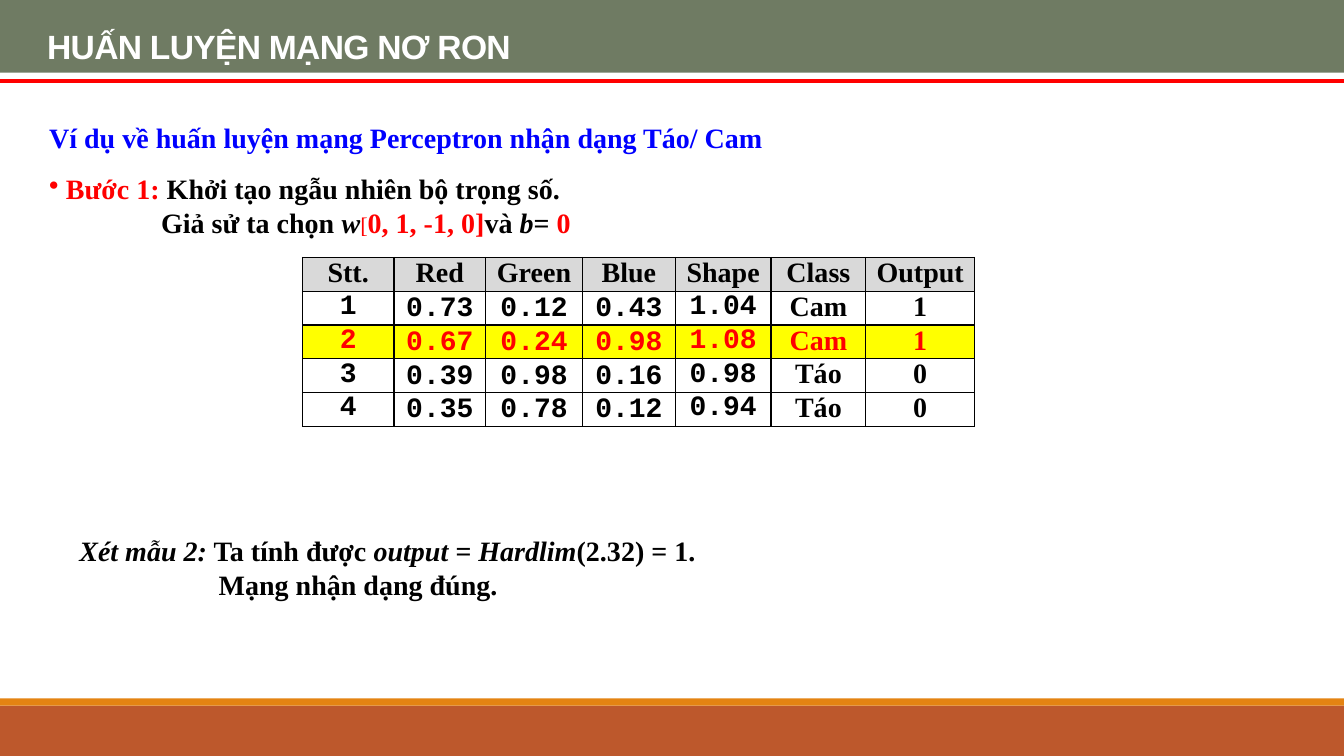
from pptx import Presentation
from pptx import util as u
from pptx.dml.color import RGBColor
from pptx.enum import shapes, text
from pptx.oxml import parse_xml
from pptx.oxml.ns import nsdecls, qn

BLACK = RGBColor(0, 0, 0)
WHITE = RGBColor(255, 255, 255)
RED = RGBColor(255, 0, 0)
BLUE = RGBColor(0, 0, 255)
GRAY = RGBColor(0xD9, 0xD9, 0xD9)
GOLD = RGBColor(255, 255, 0)
GREEN = RGBColor(0x6F, 0x7B, 0x63)
RUST = RGBColor(0xBD, 0x58, 0x2C)
AMBER = RGBColor(0xE4, 0x83, 0x12)

WIDE, HIGH = 33.87, 19.05
BODY = {"name": "Times New Roman", "size": u.Pt(20), "bold": True, "italic": False}
CODE = {"name": "Courier New"}
ITAL = {"italic": True}
THIN = {"size": u.Pt(16), "bold": False}

HEAD = ["Stt.", "Red", "Green", "Blue", "Shape", "Class", "Output"]
ROWS = [
    ["1", "0.73", "0.12", "0.43", "1.04", "Cam", "1"],
    ["2", "0.67", "0.24", "0.98", "1.08", "Cam", "1"],
    ["3", "0.39", "0.98", "0.16", "0.98", "Táo", "0"],
    ["4", "0.35", "0.78", "0.12", "0.94", "Táo", "0"],
]
COLS = [2.31, 2.31, 2.44, 2.34, 2.41, 2.39, 2.74]


def add_run(para, words, color=BLACK, form=None):
    run = para.add_run()
    run.text = words
    for key, val in {**BODY, **(form or {})}.items():
        setattr(run.font, key, val)
    run.font.color.rgb = color
    return run


def add_title(slide, words):
    title = slide.shapes.title
    box = {"left": 0, "top": 0, "width": u.Cm(WIDE), "height": u.Cm(1.83)}
    for key, val in box.items():
        setattr(title, key, val)
    title.fill.solid()
    title.fill.fore_color.rgb = GREEN
    frame = title.text_frame
    form = {"margin_left": u.Cm(1.19), "auto_size": text.MSO_AUTO_SIZE.NONE,
            "vertical_anchor": text.MSO_ANCHOR.MIDDLE}
    for key, val in form.items():
        setattr(frame, key, val)
    para = frame.paragraphs[0]
    para.alignment = text.PP_ALIGN.LEFT
    para.line_spacing = 1.5
    run = add_run(para, words, WHITE, {"name": "Arial", "size": u.Pt(24)})
    run.font._element.set("spc", "-50")


def add_band(slide, top, high, color):
    band = slide.shapes.add_shape(
        shapes.MSO_SHAPE.RECTANGLE, 0, u.Cm(top), u.Cm(WIDE), u.Cm(high))
    band.shadow.inherit = False
    band.fill.solid()
    band.fill.fore_color.rgb = color
    band.line.fill.background()


def add_rule(slide, top):
    rule = slide.shapes.add_connector(
        shapes.MSO_CONNECTOR.STRAIGHT, 0, u.Cm(top), u.Cm(WIDE), u.Cm(top))
    rule.line.color.rgb = RED
    rule.line.width = u.Pt(3)
    rule._element.spPr.append(parse_xml(f"<a:effectLst {nsdecls('a')}/>"))


def add_text(slide, left, top, wide, high, lines):
    box = slide.shapes.add_textbox(u.Cm(left), u.Cm(top), u.Cm(wide), u.Cm(high))
    frame = box.text_frame
    frame.word_wrap = True
    frame.auto_size = text.MSO_AUTO_SIZE.SHAPE_TO_FIT_TEXT
    for row, (inset, mark, runs) in enumerate(lines):
        para = frame.add_paragraph() if row else frame.paragraphs[0]
        props = para._p.get_or_add_pPr()
        props.set("marL", str(u.Cm(inset)))
        props.set("indent", str(-u.Cm(inset) if mark else 0))
        if mark:
            props.append(parse_xml(f'<a:buChar {nsdecls("a")} char="{mark}"/>'))
        for run in runs:
            add_run(para, *run)


def add_edges(cell):
    props = cell._tc.get_or_add_tcPr()
    for side in "LRTB":
        props.append(parse_xml(
            f'<a:ln{side} {nsdecls("a")} w="{u.Pt(1)}"><a:solidFill>'
            f'<a:srgbClr val="{BLACK}"/></a:solidFill></a:ln{side}>'))


def fill_cell(cell, words, row, col):
    add_edges(cell)
    shade = {0: GRAY, 2: GOLD}.get(row)
    if shade:
        cell.fill.solid()
        cell.fill.fore_color.rgb = shade
    else:
        cell.fill.background()
    low = row > 0 and 1 <= col <= 3
    form = {"margin_left": u.Cm(0.18), "margin_right": u.Cm(0.18),
            "margin_top": 0, "margin_bottom": 0,
            "vertical_anchor": text.MSO_ANCHOR.BOTTOM if low else text.MSO_ANCHOR.TOP}
    for key, val in form.items():
        setattr(cell, key, val)
    para = cell.text_frame.paragraphs[0]
    para.alignment = text.PP_ALIGN.CENTER
    add_run(para, words, RED if row == 2 else BLACK,
            CODE if row > 0 and col < 5 else None)


def add_grid(slide, left, top, step):
    data = [HEAD] + ROWS
    grid = slide.shapes.add_table(
        len(data), len(COLS), u.Cm(left), u.Cm(top),
        u.Cm(sum(COLS)), u.Cm(step * len(data))).table
    grid.first_row = grid.horz_banding = False
    for col, wide in enumerate(COLS):
        grid.columns[col].width = u.Cm(wide)
    for row, items in enumerate(data):
        for col, words in enumerate(items):
            fill_cell(grid.cell(row, col), words, row, col)


def main():
    deck = Presentation()
    deck.slide_width, deck.slide_height = u.Cm(WIDE), u.Cm(HIGH)
    slide = deck.slides.add_slide(deck.slide_layouts[5])
    add_band(slide, 17.78, 1.27, RUST)
    add_band(slide, 17.6, 0.18, AMBER)
    add_title(slide, "HUẤN LUYỆN MẠNG NƠ RON")
    add_rule(slide, 2.05)
    add_text(slide, 0.99, 2.9, 21.5, 1.11, [
        (0, "", [("Ví dụ về huấn luyện mạng Perceptron nhận dạng Táo/ Cam", BLUE)])])
    add_text(slide, 0.99, 4.2, 27.4, 1.96, [
        (0.42, "•", [("Bước 1: ", RED), ("Khởi tạo ngẫu nhiên bộ trọng số.",)]),
        (2.82, "", [("Giả sử ta chọn ",), ("w", BLACK, ITAL), ("[", RED, THIN),
                    ("0, 1, -1, 0]", RED), ("và ",), ("b", BLACK, ITAL),
                    ("= ",), ("0", RED)])])
    add_grid(slide, 7.62, 6.49, 0.85)
    add_text(slide, 1.75, 13.33, 26.2, 1.96, [
        (0, "", [("Xét mẫu 2:", BLACK, ITAL), (" Ta tính được ",),
                 ("output = Hardlim", BLACK, ITAL), ("(2.32) = 1.",)]),
        (3.51, "", [("Mạng nhận dạng đúng.",)])])
    deck.save("out.pptx")


if __name__ == "__main__":
    main()
